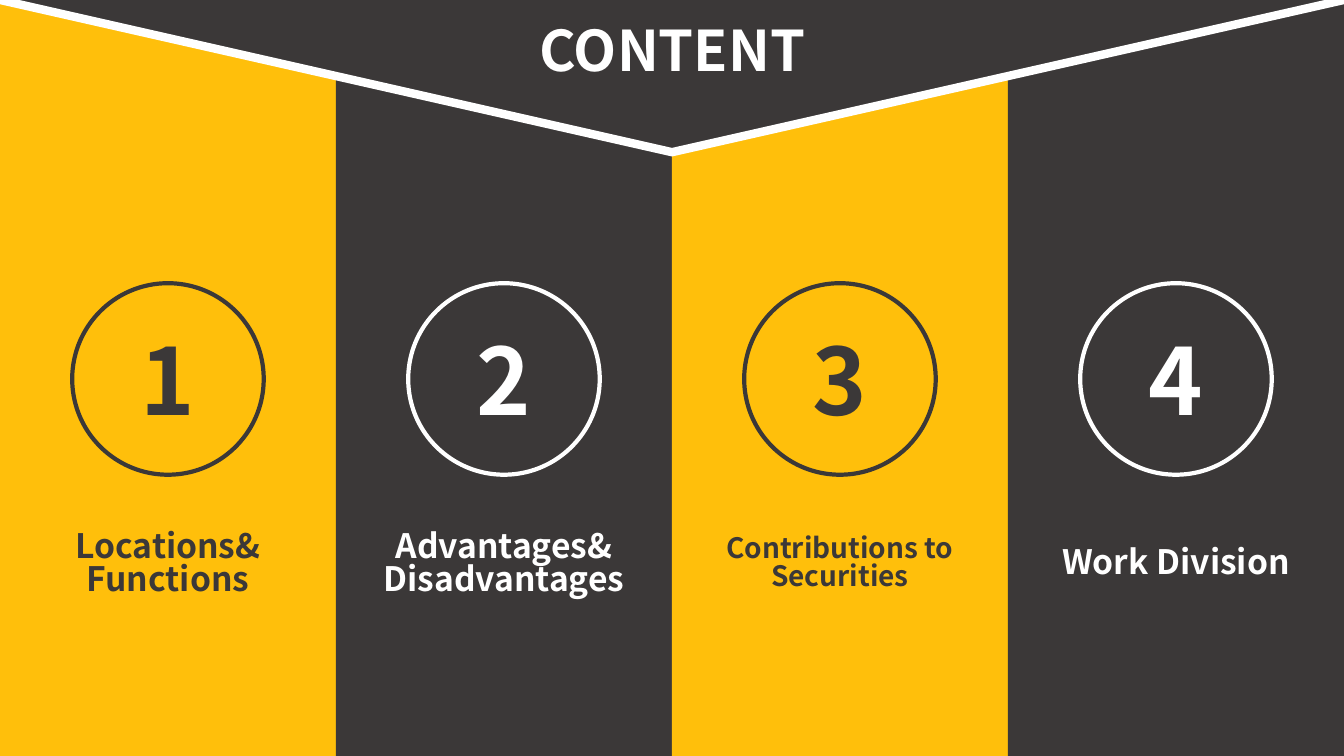
from pptx import Presentation
from pptx.dml.color import RGBColor
from pptx.enum.shapes import MSO_SHAPE as Shape
from pptx.enum.text import MSO_ANCHOR as Anchor, MSO_AUTO_SIZE as AutoSize, PP_ALIGN as Align
from pptx.util import Inches, Pt

YELLOW = RGBColor(0xFF, 0xBF, 0x0B)
CHARCOAL = RGBColor(0x3B, 0x38, 0x38)
WHITE = RGBColor(0xFF, 0xFF, 0xFF)
FONT = "Noto Sans CJK SC"

deck = Presentation()
deck.slide_width, deck.slide_height = Inches(13.333), Inches(7.5)
page = deck.slides.add_slide(deck.slide_layouts[5])
column = deck.slide_width // 4


def add_plain(kind, left, top, width, height, fill=None, line=None, weight=0):
    shape = page.shapes.add_shape(kind, left, top, width, height)
    shape.shadow.inherit = False
    if fill is None:
        shape.fill.background()
    else:
        shape.fill.solid()
        shape.fill.fore_color.rgb = fill
    if line is None:
        shape.line.fill.background()
    else:
        shape.line.color.rgb = line
        shape.line.width = Pt(weight)
    return shape


def write(box, text, size, color, anchor=Anchor.MIDDLE):
    frame = box.text_frame
    frame.text = text
    frame.word_wrap = True
    frame.auto_size = AutoSize.NONE
    frame.vertical_anchor = anchor
    for para in frame.paragraphs:
        para.alignment = Align.CENTER
        for span in para.runs:
            span.font.name = FONT
            span.font.size = Pt(size)
            span.font.bold = True
            span.font.color.rgb = color
    # Draw the second line of a label closer to the first
    for para in frame.paragraphs[1:]:
        para.line_spacing = 0.82


# Four full-height bands
for index in range(4):
    add_plain(Shape.RECTANGLE, index * column, 0, column, deck.slide_height,
              fill=(YELLOW, CHARCOAL)[index % 2])

# Header triangle pointing down, wider than the page
header_width = Inches(14.74)
header = add_plain(Shape.ISOSCELES_TRIANGLE, (deck.slide_width - header_width) // 2,
                   Inches(-0.16), header_width, Inches(1.67), CHARCOAL, WHITE, 6)
header.rotation = 180

# Numbered circle and label, centred in each band
topics = [("Locations&\nFunctions", 24), ("Advantages&\nDisadvantages", 24),
          ("Contributions to\nSecurities", 20), ("Work Division", 24)]
diameter, label_width = Inches(1.9), Inches(2.7)
for index, (topic, size) in enumerate(topics):
    left, color = index * column, (CHARCOAL, WHITE)[index % 2]
    circle = add_plain(Shape.OVAL, left + (column - diameter) // 2, Inches(2.81),
                       diameter, diameter, line=color, weight=3)
    write(circle, str(index + 1), 66, color)
    label = page.shapes.add_textbox(left + (column - label_width) // 2, Inches(5.18),
                                    label_width, Inches(0.78))
    write(label, topic, size, color)

# Title, brought in front of the header
title = page.shapes.title
title.left, title.top = Inches(5.16), Inches(0.19)
title.width, title.height = Inches(3.02), Inches(0.77)
write(title, "CONTENT", 40, WHITE, Anchor.TOP)
title.text_frame.paragraphs[0].line_spacing = 0.88
title._element.getparent().append(title._element)

deck.save("out.pptx")
